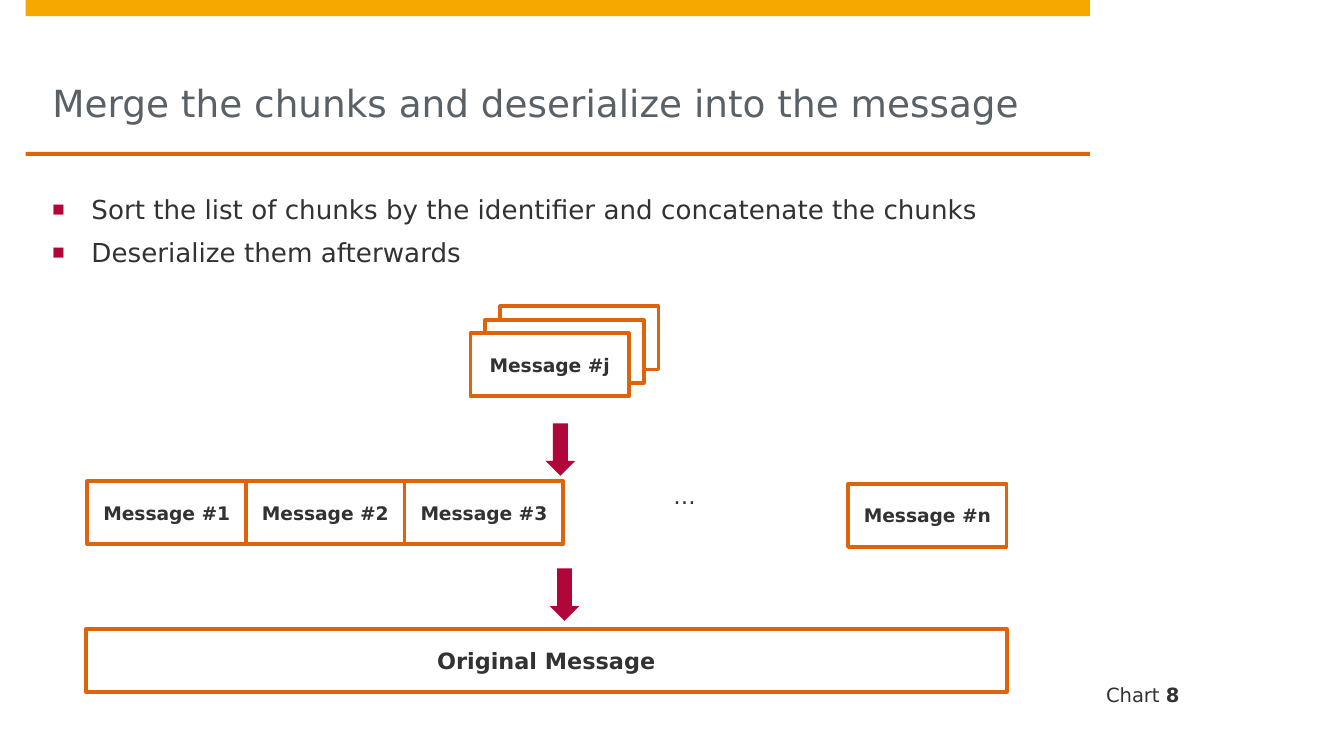
from dataclasses import dataclass

from lxml import etree
from pptx import Presentation
from pptx import util as u
from pptx.dml.color import RGBColor
from pptx.enum import shapes, text
from pptx.oxml.ns import qn

AMBER = RGBColor(0xF6, 0xA8, 0x00)
ORANGE = RGBColor(0xDD, 0x64, 0x0C)
CRIMSON = RGBColor(0xB1, 0x06, 0x3A)
WHITE = RGBColor(0xFF, 0xFF, 0xFF)
INK = RGBColor(0x32, 0x32, 0x32)
SLATE = RGBColor(0x5A, 0x61, 0x66)
FONT = "DejaVu Sans"
CHUNK_WIDTH = 1.18
BOX_HEIGHT = 0.47
RECTANGLE = shapes.MSO_SHAPE.RECTANGLE
DOWN_ARROW = shapes.MSO_SHAPE.DOWN_ARROW
LEFT = text.PP_ALIGN.LEFT
CENTER = text.PP_ALIGN.CENTER
TOP = text.MSO_ANCHOR.TOP
MIDDLE = text.MSO_ANCHOR.MIDDLE
BOTTOM = text.MSO_ANCHOR.BOTTOM


@dataclass(frozen=True)
class Area:
    left: float
    top: float
    width: float
    height: float

    def lengths(self) -> list:
        return [u.Inches(n) for n in (self.left, self.top, self.width, self.height)]


@dataclass(frozen=True)
class MessageBox:
    area: Area
    label: str = ""
    size: float = 10


def add_bullet(para) -> None:
    props = para._p.get_or_add_pPr()
    props.set("marL", str(u.Inches(0.29)))
    props.set("indent", str(-u.Inches(0.29)))
    color = etree.SubElement(props, qn("a:buClr"))
    etree.SubElement(color, qn("a:srgbClr"), val=str(CRIMSON))
    etree.SubElement(props, qn("a:buSzPct"), val="50000")
    etree.SubElement(props, qn("a:buFont"), typeface=FONT)
    etree.SubElement(props, qn("a:buChar"), char="■")


def write(box, lines, *, size, color=INK, bold=False, align=LEFT, anchor=TOP,
          margins=(0, 0, 0, 0), gap=0, bullets=False) -> None:
    frame = box.text_frame
    frame.word_wrap = True
    frame.auto_size = text.MSO_AUTO_SIZE.NONE
    frame.vertical_anchor = anchor
    (frame.margin_left, frame.margin_top,
     frame.margin_right, frame.margin_bottom) = [u.Inches(m) for m in margins]
    for index, line in enumerate(lines):
        para = frame.add_paragraph() if index else frame.paragraphs[0]
        para.alignment = align
        para.space_before = para.space_after = u.Pt(gap)
        if bullets:
            add_bullet(para)
        for words, strong in [(line, bold)] if isinstance(line, str) else line:
            span = para.add_run()
            span.text = words
            span.font.name = FONT
            span.font.size = u.Pt(size)
            span.font.bold = strong
            span.font.color.rgb = color


def draw_shape(page, kind, area: Area, fill: RGBColor):
    box = page.shapes.add_shape(kind, *area.lengths())
    box.shadow.inherit = False
    box.fill.solid()
    box.fill.fore_color.rgb = fill
    box.line.fill.background()
    return box


def draw_message(page, message: MessageBox) -> None:
    box = draw_shape(page, RECTANGLE, message.area, WHITE)
    box.line.color.rgb = ORANGE
    box.line.width = u.Pt(2)
    if message.label:
        write(box, [message.label], size=message.size, bold=True, align=CENTER,
              anchor=MIDDLE, margins=(0.1, 0.08, 0.1, 0.08), gap=3)


def draw_text(page, area: Area, lines, **style) -> None:
    write(page.shapes.add_textbox(*area.lengths()), lines, **style)


def chunk(left: float, top: float, label: str = "") -> MessageBox:
    return MessageBox(Area(left, top, CHUNK_WIDTH, BOX_HEIGHT), label)


def main() -> None:
    deck = Presentation()
    deck.slide_width = u.Inches(10)
    deck.slide_height = deck.slide_width * 9 // 16
    page = deck.slides.add_slide(deck.slide_layouts[5])

    draw_shape(page, RECTANGLE, Area(0.19, 0, 7.92, 0.12), AMBER)
    draw_shape(page, RECTANGLE, Area(0.19, 1.13, 7.92, 0.03), ORANGE)

    title = page.shapes.title
    title.left, title.top, title.width, title.height = Area(0.39, 0.12, 7.52, 1.01).lengths()
    write(title, ["Merge the chunks and deserialize into the message"],
          size=20, color=SLATE, anchor=BOTTOM, margins=(0, 0, 0, 0.2))

    draw_text(page, Area(0.39, 1.36, 7.52, 3.9),
              ["Sort the list of chunks by the identifier and concatenate the chunks",
               "Deserialize them afterwards"],
              size=14, margins=(0, 0.08, 0, 0), gap=3, bullets=True)
    draw_text(page, Area(8.11, 5.06, 1.69, 0.2), [[("Chart ", False), ("8", True)]],
              size=10.5, anchor=BOTTOM, margins=(0.12, 0, 0, 0))
    draw_text(page, Area(5.01, 3.59, 0.34, 0.31), ["…"], size=12, gap=3)

    sorted_chunks = [chunk(0.65 + i * CHUNK_WIDTH, 3.58, f"Message #{i + 1}")
                     for i in range(3)]
    stack = [chunk(3.72 - i * 0.11, 2.28 + i * 0.1, label)
             for i, label in enumerate(["", "", "Message #j"])]
    merged = MessageBox(Area(0.64, 4.68, 6.85, BOX_HEIGHT), "Original Message", 12)
    for message in [*sorted_chunks, chunk(6.31, 3.6, "Message #n"), *stack, merged]:
        draw_message(page, message)

    for left, top in [(4.06, 3.15), (4.09, 4.23)]:
        draw_shape(page, DOWN_ARROW, Area(left, top, 0.22, 0.39), CRIMSON)

    deck.save("out.pptx")


if __name__ == "__main__":
    main()
